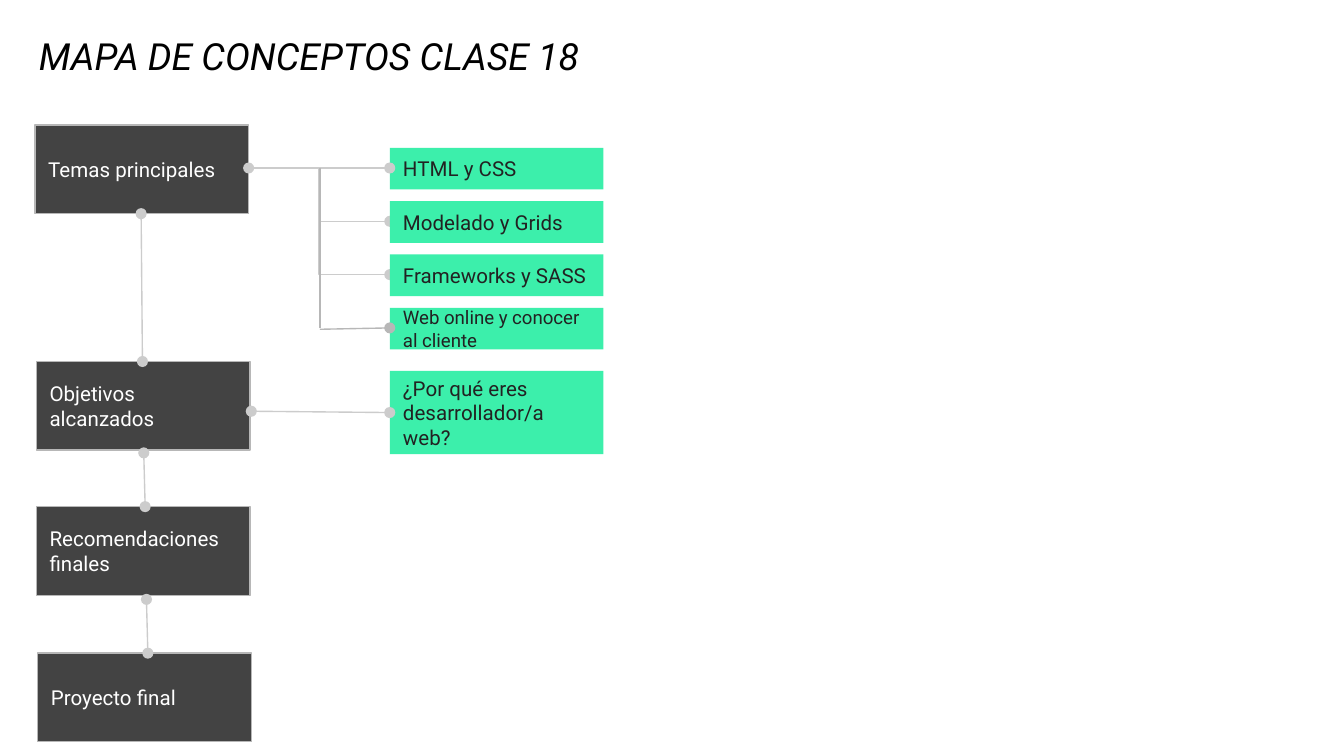
from lxml.etree import SubElement
from pptx import Presentation
from pptx.dml.color import RGBColor
from pptx.enum.shapes import MSO_CONNECTOR as LINK, MSO_SHAPE as SHAPE
from pptx.enum.text import MSO_ANCHOR as ANCHOR, MSO_AUTO_SIZE as FIT, PP_ALIGN as ALIGN
from pptx.oxml.ns import qn
from pptx.util import Inches, Pt

FONT = "Roboto"
BLACK = RGBColor(0x00, 0x00, 0x00)
WHITE = RGBColor(0xFF, 0xFF, 0xFF)
INK = RGBColor(0x22, 0x22, 0x22)
DARK = RGBColor(0x43, 0x43, 0x43)
GREEN = RGBColor(0x3C, 0xEF, 0xAB)
EDGE = RGBColor(0xB7, 0xB7, 0xB7)
PALE = RGBColor(0xCC, 0xCC, 0xCC)

# Grid, in inches; the page is 16:9
PAGE_WIDTH = 10
PAGE_HEIGHT = PAGE_WIDTH * 9 / 16
BOX_WIDTH = 1.59
STAGE_HEIGHT = 0.66
TOPIC_HEIGHT = 0.31
TOPIC_LEFT = 2.9
TOPIC_TOP = 1.1
TOPIC_STEP = 1.19 / 3
TRUNK_X = 2.38
STAGE_RIGHT = 1.85
ROOT_Y = 1.25

# Text, left, top
STAGES = [
    ("Temas principales", 0.26, 0.93),
    ("Objetivos alcanzados", 0.27, 2.69),
    ("Recomendaciones finales", 0.27, 3.77),
    ("Proyecto final", 0.28, 4.86),
]
# Text, size
TOPICS = [
    ("HTML y CSS", 11),
    ("Modelado y Grids", 11),
    ("Frameworks y SASS", 11),
    ("Web online y conocer al cliente", 10),
]
# Start and end of the lines that join one stage to the next
STAGE_LINKS = [
    ((1.05, 1.59), (1.06, 2.69)),
    ((1.07, 3.37), (1.08, 3.77)),
    ((1.09, 4.46), (1.10, 4.86)),
]


def write(shape, text, size, color, anchor, italic=None):
    frame = shape.text_frame
    frame.word_wrap = True
    frame.auto_size = FIT.NONE
    frame.vertical_anchor = anchor
    frame.margin_left = frame.margin_right = Inches(0.1)
    frame.margin_top = frame.margin_bottom = Inches(0.1)
    para = frame.paragraphs[0]
    para.alignment = ALIGN.LEFT
    span = para.add_run()
    span.text = text
    span.font.name = FONT
    span.font.size = Pt(size)
    span.font.italic = italic
    span.font.color.rgb = color


def add_title(page, text):
    title = page.shapes.title
    title.left, title.top = Inches(0.19), Inches(0.22)
    title.width, title.height = Inches(8.26), Inches(0.46)
    write(title, text, 20, BLACK, ANCHOR.BOTTOM, italic=True)


def add_box(page, text, left, top, height, fill, color, size=11, edge=None):
    box = page.shapes.add_shape(
        SHAPE.RECTANGLE, Inches(left), Inches(top), Inches(BOX_WIDTH), Inches(height))
    box.shadow.inherit = False
    box.fill.solid()
    box.fill.fore_color.rgb = fill
    if edge is None:
        box.line.fill.background()
    else:
        box.line.color.rgb = edge
        box.line.width = Pt(0.75)
    write(box, text, size, color, ANCHOR.MIDDLE)


def add_topic(page, row):
    text, size = TOPICS[row]
    add_box(page, text, TOPIC_LEFT, TOPIC_TOP + row * TOPIC_STEP,
            TOPIC_HEIGHT, GREEN, INK, size)


def add_link(page, start, end, ends=("headEnd", "tailEnd"), color=PALE, kind=LINK.STRAIGHT):
    link = page.shapes.add_connector(kind, *(Inches(value) for value in start + end))
    link.line.color.rgb = color
    link.line.width = Pt(0.75)
    outline = link.line._get_or_add_ln()
    for name in ends:
        SubElement(outline, qn("a:" + name), type="oval", w="med", len="med")
    SubElement(link._element.spPr, qn("a:effectLst"))


def main():
    deck = Presentation()
    deck.slide_width, deck.slide_height = Inches(PAGE_WIDTH), Inches(PAGE_HEIGHT)
    page = deck.slides.add_slide(deck.slide_layouts[5])
    add_title(page, "MAPA DE CONCEPTOS CLASE 18")

    # Stages of the class
    for text, left, top in STAGES:
        add_box(page, text, left, top, STAGE_HEIGHT, DARK, WHITE, edge=EDGE)
    for start, end in STAGE_LINKS:
        add_link(page, start, end)

    # Main topics: the middle boxes cover half of their dots
    root = (STAGE_RIGHT, ROOT_Y)
    add_topic(page, 0)
    add_link(page, root, (TOPIC_LEFT, ROOT_Y))
    for row in (1, 2):
        add_link(page, root, (TOPIC_LEFT, ROOT_Y + row * TOPIC_STEP),
                 ends=("tailEnd",), kind=LINK.ELBOW)
    for row in (1, 2, 3):
        add_topic(page, row)
    add_link(page, (TRUNK_X, ROOT_Y), (TRUNK_X, 2.44), ends=(), color=EDGE)
    add_link(page, (TRUNK_X, 2.45), (TOPIC_LEFT, 2.44), ends=("tailEnd",), color=EDGE)

    # Question on the goals
    add_box(page, "¿Por qué eres desarrollador/a web?", TOPIC_LEFT, 2.76, 2 * TOPIC_HEIGHT,
            GREEN, INK)
    add_link(page, (1.87, 3.06), (TOPIC_LEFT, 3.07))

    deck.save("out.pptx")


if __name__ == "__main__":
    main()
